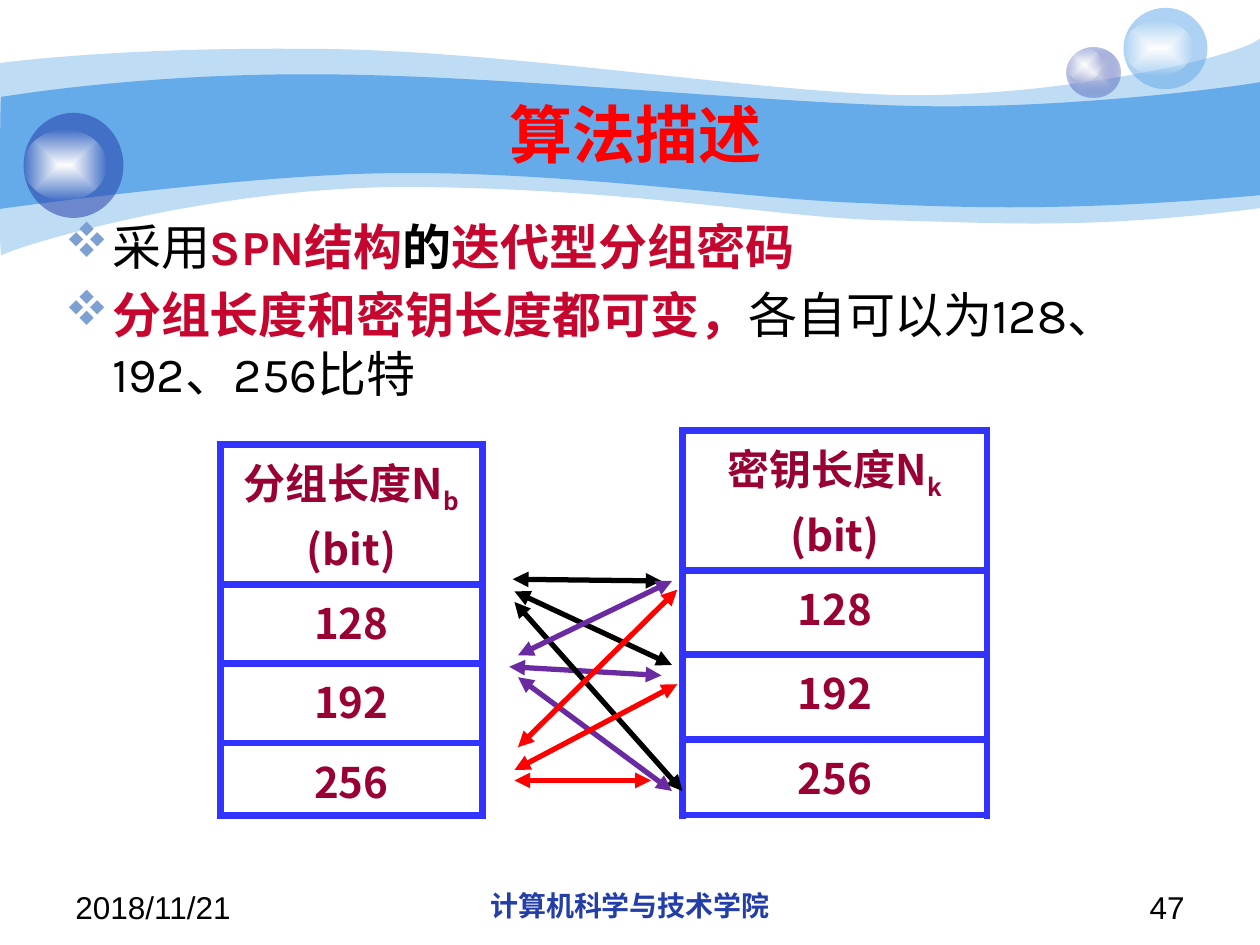
from pptx import Presentation
from pptx.dml.color import RGBColor
from pptx.enum.shapes import MSO_CONNECTOR, MSO_SHAPE
from pptx.enum.text import MSO_ANCHOR, PP_ALIGN
from pptx.oxml import parse_xml
from pptx.oxml.ns import nsdecls, qn
from pptx.util import Pt
from lxml import etree

LEFT, CENTER, RIGHT = PP_ALIGN.LEFT, PP_ALIGN.CENTER, PP_ALIGN.RIGHT
TOP, MIDDLE = MSO_ANCHOR.TOP, MSO_ANCHOR.MIDDLE
STRAIGHT, ELLIPSE = MSO_CONNECTOR.STRAIGHT, MSO_SHAPE.OVAL

COLORS = {
    "sky": "65AAE9", "navy": "233DA9", "mist": "E1E2ED", "white": "FFFFFF",
    "red": "FF0000", "crimson": "C6062F", "maroon": "990033", "black": "000000",
    "violet": "692AA2", "border": "3333FF", "bullet": "7DA0D3",
}
CJK_FONT = "Noto Sans CJK SC"


def rgb(name):
    return RGBColor.from_string(COLORS[name])


def add(parent, tag, **attrs):
    return etree.SubElement(parent, qn(tag), {k: str(v) for k, v in attrs.items()})


class Deck:
    def __init__(self, width, height):
        self.prs = Presentation()
        self.prs.slide_width, self.prs.slide_height = Pt(width), Pt(height)
        self.s = self.prs.slides.add_slide(self.prs.slide_layouts[6])

    def paint(self, sp, color, alpha=100):
        sp.shadow.inherit = False
        sp.line.fill.background()
        sp.fill.solid()
        sp.fill.fore_color.rgb = rgb(color)
        if alpha < 100:
            add(sp._element.spPr.find(".//" + qn("a:srgbClr")), "a:alpha", val=alpha * 1000)

    def wave(self, start, segments, color, alpha=100):
        builder = self.s.shapes.build_freeform(Pt(start[0]), Pt(start[1]), scale=1.0)
        builder.add_line_segments([(Pt(seg[-2]), Pt(seg[-1])) for seg in segments], close=True)
        sp = builder.convert_to_shape()
        lines = list(sp._element.iter(qn("a:lnTo")))
        for line, seg in zip(lines, segments):
            if len(seg) == 6:
                curve = etree.Element(qn("a:cubicBezTo"))
                for x, y in zip(seg[::2], seg[1::2]):
                    add(curve, "a:pt", x=Pt(x) - sp.left, y=Pt(y) - sp.top)
                line.getparent().replace(line, curve)
        self.paint(sp, color, alpha)

    def ball(self, x, y, w, h, color, alpha=100):
        sp = self.s.shapes.add_shape(ELLIPSE, Pt(x), Pt(y), Pt(w), Pt(h))
        self.paint(sp, color, alpha)
        return sp

    def glow(self, x, y, w, h, inner="white", outer="white", alpha=0):
        sp = self.ball(x, y, w, h, inner)
        grad = parse_xml(
            f'<a:gradFill {nsdecls("a")} rotWithShape="1"><a:gsLst>'
            f'<a:gs pos="0"><a:srgbClr val="{COLORS[inner]}"/></a:gs>'
            f'<a:gs pos="100000"><a:srgbClr val="{COLORS[outer]}">'
            f'<a:alpha val="{alpha * 1000}"/></a:srgbClr></a:gs></a:gsLst>'
            '<a:path path="shape"><a:fillToRect l="50000" t="50000" r="50000" b="50000"/>'
            '</a:path></a:gradFill>')
        spPr = sp._element.spPr
        spPr.replace(spPr.find(qn("a:solidFill")), grad)

    def runs(self, p, parts, size, font):
        for text, color, bold, baseline in parts:
            r = p.add_run()
            r.text = text
            r.font.size, r.font.bold, r.font.name = Pt(size), bold, font
            r.font.color.rgb = rgb(color)
            rPr = r._r.get_or_add_rPr()
            add(rPr, "a:ea", typeface=CJK_FONT)
            if baseline:
                rPr.set("baseline", str(baseline * 1000))

    def text(self, x, y, w, h, paragraphs, size, font="Arial", align=LEFT,
             anchor=TOP, bullet=None):
        tf = self.s.shapes.add_textbox(Pt(x), Pt(y), Pt(w), Pt(h)).text_frame
        tf.word_wrap, tf.vertical_anchor = True, anchor
        for i, parts in enumerate(paragraphs):
            p = tf.add_paragraph() if i else tf.paragraphs[0]
            p.alignment = align
            if i:
                p.space_before = Pt(size * 0.2)
            if bullet:
                pPr = p._p.get_or_add_pPr()
                pPr.set("marL", str(Pt(27)))
                pPr.set("indent", str(-Pt(27)))
                add(add(pPr, "a:buClr"), "a:srgbClr", val=COLORS["bullet"])
                add(pPr, "a:buFont", typeface="Wingdings", charset=2)
                add(pPr, "a:buChar", char=bullet)
            self.runs(p, parts, size, font)

    def table(self, x, y, w, heights, rows):
        tbl = self.s.shapes.add_table(len(rows), 1, Pt(x), Pt(y), Pt(w), Pt(sum(heights))).table
        tbl.first_row = tbl.horz_banding = False
        for i, (height, parts) in enumerate(zip(heights, rows)):
            tbl.rows[i].height = Pt(height)
            cell = tbl.cell(i, 0)
            cell.fill.background()
            tcPr = cell._tc.get_or_add_tcPr()
            for j, side in enumerate("LRTB"):
                tcPr.insert(j, parse_xml(
                    f'<a:ln{side} {nsdecls("a")} w="{Pt(4.5)}"><a:solidFill>'
                    f'<a:srgbClr val="{COLORS["border"]}"/></a:solidFill></a:ln{side}>'))
            p = cell.text_frame.paragraphs[0]
            p.alignment = CENTER
            self.runs(p, parts, 24, CJK_FONT)

    def arrow(self, x1, y1, x2, y2, color):
        c = self.s.shapes.add_connector(STRAIGHT, Pt(x1), Pt(y1), Pt(x2), Pt(y2))
        c.line.color.rgb, c.line.width = rgb(color), Pt(3)
        ln = c.line._get_or_add_ln()
        add(ln, "a:headEnd", type="triangle")
        add(ln, "a:tailEnd", type="triangle")
        add(c._element.spPr, "a:effectLst")


def main():
    deck = Deck(720, 540)

    deck.wave((0, 36), [
        (17, 34, 77, 27, 178, 28), (278, 28, 414, 50, 503, 54),
        (592, 58, 706, 34, 720, 22), (720, 119),
        (618, 132, 567, 127, 508, 126), (448, 125, 371, 109, 247, 107),
        (124, 104, 3, 143, 1, 146), (-1, 150, 0, 54, 0, 36)], "sky", 41)
    deck.wave((0.7, 55.4), [
        (1.4, 55.4, 79, 42, 179, 42.5), (278, 42.5, 428, 58, 517, 60.5),
        (606, 63, 703, 50, 720, 47), (720, 111.6),
        (614, 121, 551, 119, 491, 116), (431, 114, 322, 98, 228, 99),
        (146, 99, -1, 119.5, -0.7, 119.5), (0, 119.5, 0, 55.4, 0.7, 55.4)], "sky")

    deck.glow(609.5, 27, 30.5, 29, "mist", "navy", 31)
    deck.glow(609.5, 27, 20, 19.5)
    deck.ball(642, 4.5, 48, 46.5, "sky", 53)
    deck.glow(642, 12, 40, 31)
    deck.ball(13.5, 64.5, 57, 60, "navy", 53)
    deck.glow(13.5, 74, 47.5, 40.5)

    deck.text(72, 53.5, 582, 45, [[("算法描述", "red", True, 0)]], 36, align=CENTER, anchor=MIDDLE)
    deck.text(30, 120, 648, 384, [
        [("采用", "black", False, 0), ("SPN结构", "crimson", True, 0),
         ("的", "black", True, 0), ("迭代型分组密码", "crimson", True, 0)],
        [("分组长度和密钥长度都可变，", "crimson", True, 0),
         ("各自可以为128、192、256比特", "black", False, 0)],
    ], 28, "Karla", bullet="v")

    deck.text(36, 504, 168, 25, [[("2018/11/21", "black", False, 0)]], 18)
    deck.text(246, 504, 228, 25, [[("计算机科学与技术学院", "navy", True, 0)]], 16, align=CENTER)
    deck.text(516, 504, 168, 25, [[("47", "black", False, 0)]], 18, align=RIGHT)

    sizes = [[(bits, "maroon", True, 0)] for bits in ("128", "192", "256")]
    for x, y, w, heights, name, index in (
            (126, 254, 149.5, (79.8, 45.4, 45.4, 41.4), "分组长度N", "b "),
            (390, 246, 174, (80, 48.3, 48.3, 43.2), "密钥长度N", "k ")):
        header = [(name, "maroon", True, 0), (index, "maroon", True, -25),
                  ("(bit)", "maroon", True, 0)]
        deck.table(x, y, w, heights, [header] + sizes)

    for arrow in (
            (291, 381, 378, 386, "violet"), (293, 331, 378, 332, "black"),
            (294, 446, 372, 446, "red"), (294, 338, 384, 380, "black"),
            (294, 344, 390, 452, "black"), (296, 374.5, 384, 332, "violet"),
            (296, 387, 384, 452, "violet"), (296, 427, 387, 337, "red"),
            (294, 440, 387, 391, "red")):
        deck.arrow(*arrow)

    deck.prs.save("out.pptx")


if __name__ == "__main__":
    main()
